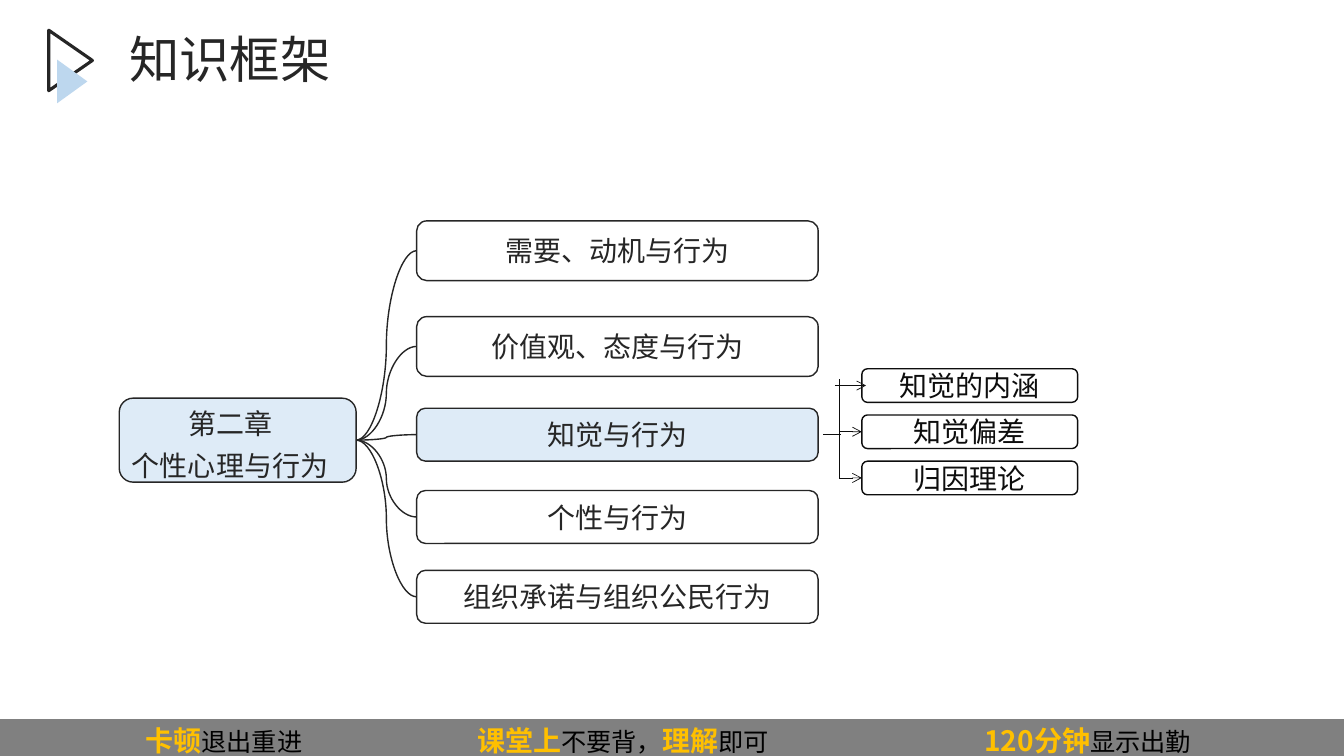
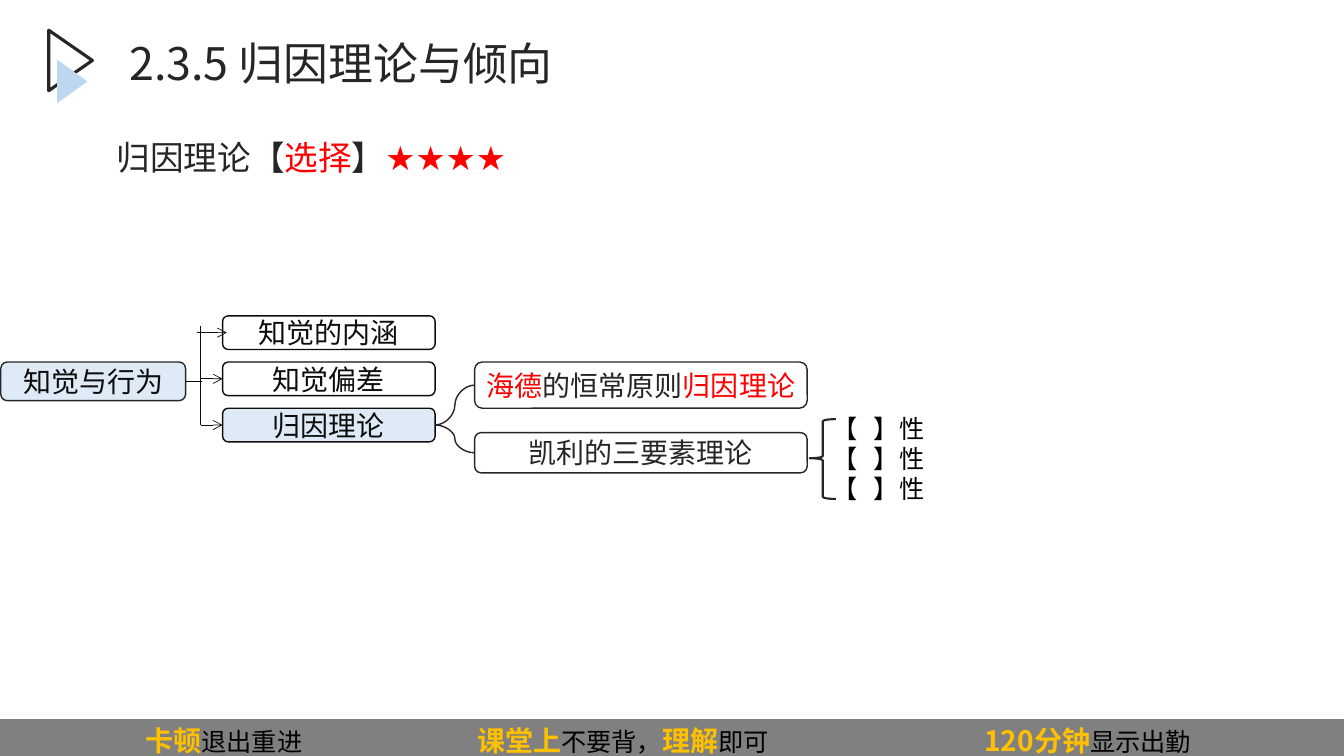
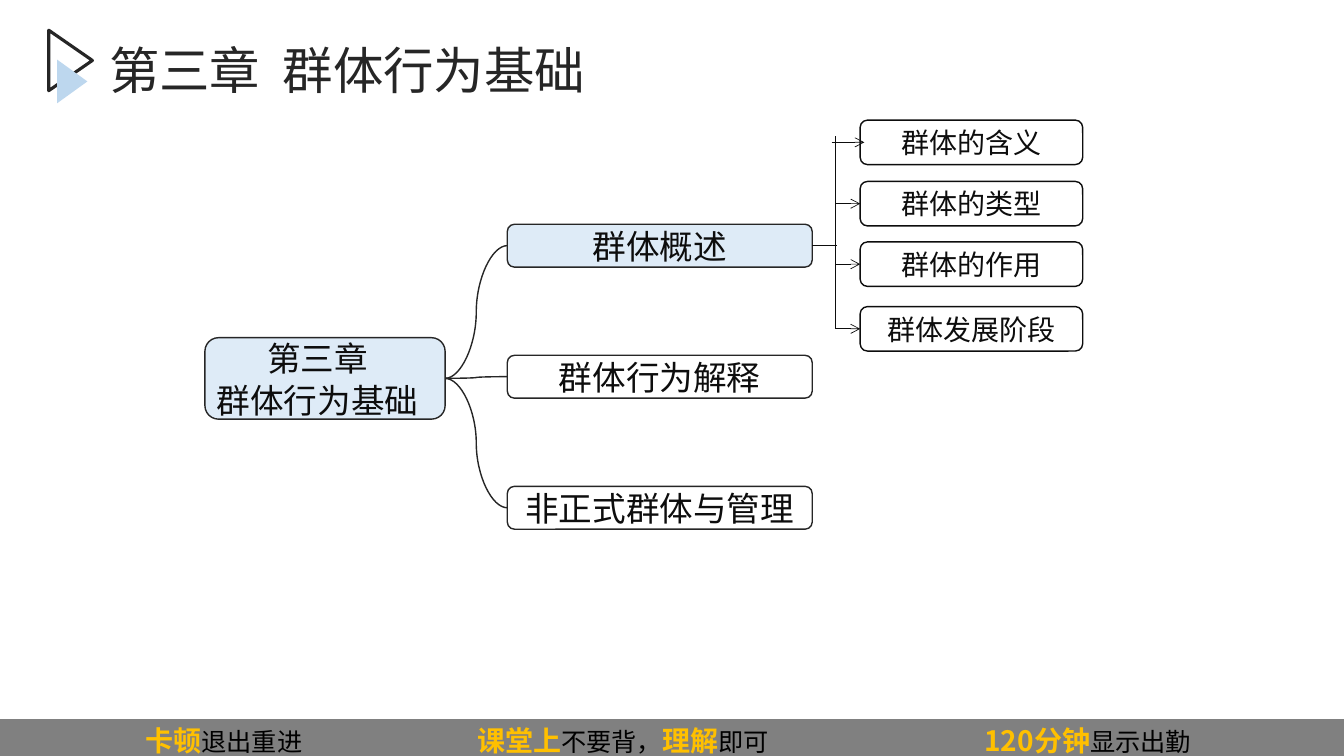
from dataclasses import dataclass
from typing import NamedTuple

from lxml import etree
from pptx import Presentation
from pptx import util as u
from pptx.dml.color import RGBColor
from pptx.enum import shapes, text
from pptx.oxml import ns

COLUMNS, ROWS = 160, 90
WIDTH, HEIGHT = u.Inches(13.33), u.Inches(7.5)
LEFT_SITE, RIGHT_SITE = 1, 3


@dataclass(frozen=True)
class Theme:
    ink: str = "262626"
    dark: str = "0D0D0D"
    black: str = "000000"
    red: str = "FF0000"
    gold: str = "FFC000"
    pale: str = "DEEBF7"
    sky: str = "BDD7EE"
    band: str = "808080"
    font: str = "Noto Sans CJK SC"
    body_font: str = "DejaVu Sans"
    title: int = 36
    subtitle: int = 32
    heading: int = 24
    label: int = 20
    small: int = 18


class Run(NamedTuple):
    text: str
    color: str = ""
    size: int = 0
    bold: bool = False
    tracking: int = 0


def column(value):
    return u.Emu(round(value * WIDTH / COLUMNS))


def row(value):
    return u.Emu(round(value * HEIGHT / ROWS))


def middle(shape):
    return (shape.top + shape.height / 2) * ROWS / HEIGHT


def left_edge(shape):
    return shape.left * COLUMNS / WIDTH


class Deck:
    def __init__(self, theme):
        self.theme = theme
        self.presentation = Presentation()
        self.presentation.slide_width = WIDTH
        self.presentation.slide_height = HEIGHT
        self.slide = None

    def new_slide(self):
        self.slide = self.presentation.slides.add_slide(self.presentation.slide_layouts[6])
        theme = self.theme
        kind = shapes.MSO_SHAPE.ISOSCELES_TRIANGLE
        self.shape(kind, 4.8, 4.6, 7.2, 5.2, line=theme.ink, weight=2.25).rotation = 90
        self.shape(kind, 6, 7.9, 5.2, 3.6, fill=theme.sky).rotation = 90
        self.footer()

    def shape(self, kind, left, top, width, height, fill=None, line=None, weight=1):
        shape = self.slide.shapes.add_shape(kind, column(left), row(top), column(width), row(height))
        shape.shadow.inherit = False
        if fill:
            shape.fill.solid()
            shape.fill.fore_color.rgb = RGBColor.from_string(fill)
        else:
            shape.fill.background()
        if line:
            shape.line.color.rgb = RGBColor.from_string(line)
            shape.line.width = u.Pt(weight)
        else:
            shape.line.fill.background()
        return shape

    def set_lines(self, frame, lines, size, color, font=None, align=text.PP_ALIGN.LEFT, leading=None):
        font = font or self.theme.font
        frame.word_wrap = True
        for index, runs in enumerate(lines):
            paragraph = frame.paragraphs[0] if index == 0 else frame.add_paragraph()
            paragraph.alignment = align
            if leading:
                paragraph.line_spacing = leading
            for part in [Run(runs)] if isinstance(runs, str) else runs:
                run = paragraph.add_run()
                run.text = part.text
                run.font.size = u.Pt(part.size or size)
                run.font.bold = part.bold
                run.font.color.rgb = RGBColor.from_string(part.color or color)
                run.font.name = font
                properties = run._r.get_or_add_rPr()
                etree.SubElement(properties, ns.qn("a:ea")).set("typeface", font)
                if part.tracking:
                    properties.set("spc", str(part.tracking * 100))

    def footer(self):
        theme = self.theme
        band = self.shape(shapes.MSO_SHAPE.RECTANGLE, 0, 85.6, COLUMNS, 4.4, fill=theme.band)
        frame = band.text_frame
        frame.vertical_anchor = text.MSO_ANCHOR.MIDDLE
        start = 17.3
        frame.margin_left = column(start)
        frame.margin_right = frame.margin_bottom = 0
        tabs = etree.SubElement(frame.paragraphs[0]._p.get_or_add_pPr(), ns.qn("a:tabLst"))
        for stop in (56.8, 117.2):
            tab = etree.SubElement(tabs, ns.qn("a:tab"))
            tab.set("pos", str(column(stop - start)))
            tab.set("algn", "l")

        def strong(words):
            return Run(words, theme.gold, theme.label, True)

        self.set_lines(frame, [[
            strong("卡顿"), Run("退出重进\t"),
            strong("课堂上"), Run("不要背，"), strong("理解"), Run("即可\t"),
            strong("120分钟"), Run("显示出勤"),
        ]], theme.small, theme.black)

    def text_box(self, left, top, width, height, lines, size, color, **style):
        box = self.slide.shapes.add_textbox(column(left), row(top), column(width), row(height))
        self.set_lines(box.text_frame, lines, size, color, **style)

    def title(self, words, size, left=14.2, top=3.6, width=91.6, leading=None):
        self.text_box(left, top, width, 10.7, [words], size, self.theme.ink, leading=leading)

    def box(self, left, top, width, height, lines, size, color, fill=None, line=None, leading=None):
        shape = self.shape(shapes.MSO_SHAPE.ROUNDED_RECTANGLE, left, top, width, height,
                           fill, line or self.theme.ink)
        frame = shape.text_frame
        frame.margin_left = frame.margin_right = frame.margin_top = frame.margin_bottom = 0
        frame.vertical_anchor = text.MSO_ANCHOR.MIDDLE
        self.set_lines(frame, lines, size, color, align=text.PP_ALIGN.CENTER, leading=leading)
        return shape

    def chapter(self, left, top, width, height, lines, size, color):
        shape = self.box(left, top, width, height, lines, size, color,
                         fill=self.theme.pale, leading=u.Pt(30))
        first = shape.text_frame.paragraphs[0]
        first._p.get_or_add_pPr().set("marR", str(column(1.8)))
        return shape

    def sections(self, left, width, height, tops, labels, chosen=None):
        theme = self.theme
        return [self.box(left, top, width, height, [label], theme.label, theme.dark,
                         theme.pale if label == chosen else None, theme.dark)
                for top, label in zip(tops, labels)]

    def connector(self, kind, x1, y1, x2, y2, color, weight, arrow=False):
        line = self.slide.shapes.add_connector(kind, column(x1), row(y1), column(x2), row(y2))
        line.line.color.rgb = RGBColor.from_string(color)
        line.line.width = u.Pt(weight)
        properties = line._element.spPr
        if arrow:
            etree.SubElement(properties.find(ns.qn("a:ln")), ns.qn("a:tailEnd")).set("type", "arrow")
        etree.SubElement(properties, ns.qn("a:effectLst"))
        return line

    def curves(self, parent, children):
        for child in children:
            curve = self.connector(shapes.MSO_CONNECTOR.CURVE, 0, 0, 1, 1, self.theme.ink, 1)
            curve.begin_connect(parent, RIGHT_SITE)
            curve.end_connect(child, LEFT_SITE)

    def arrows(self, parent, children, stub, trunk):
        def straight(x1, y1, x2, y2, arrow=False):
            self.connector(shapes.MSO_CONNECTOR.STRAIGHT, x1, y1, x2, y2, self.theme.dark, 0.5, arrow)

        straight(stub, middle(parent), trunk + 0.2, middle(parent))
        straight(trunk, middle(children[-1]), trunk, middle(children[0]) - 0.8)
        for index, child in enumerate(children):
            reach = 0.5 if index == 0 else 0
            straight(trunk - reach, middle(child), left_edge(child) + reach, middle(child), True)


PERCEPTION = ["知觉的内涵", "知觉偏差", "归因理论"]


def framework(deck):
    theme = deck.theme
    deck.new_slide()
    deck.title("知识框架", theme.title, leading=0.9)
    chapter = deck.chapter(14.2, 47.4, 28.2, 10, ["第二章", "个性心理与行为"], theme.label, theme.ink)
    rows = [
        (26.3, 7.1, "需要、动机与行为"),
        (37.7, 7.1, "价值观、态度与行为"),
        (48.6, 6.3, "知觉与行为"),
        (58.4, 6.3, "个性与行为"),
        (67.9, 6.3, "组织承诺与组织公民行为"),
    ]
    topics = [deck.box(49.6, top, 47.8, height, [label], theme.label, theme.ink,
                       theme.pale if label == "知觉与行为" else None)
              for top, height, label in rows]
    deck.curves(chapter, topics)
    tops = [43.9 + 5.5 * index for index in range(3)]
    deck.arrows(topics[2], deck.sections(102.6, 25.7, 4, tops, PERCEPTION), 98, 99.9)


def attribution(deck):
    theme = deck.theme
    deck.new_slide()
    deck.title("2.3.5 归因理论与倾向", theme.subtitle)
    deck.text_box(12.7, 16.2, 138, 68.4, [[
        Run("归因理论【"), Run("选择", theme.red), Run("】"), Run("★★★★", theme.red),
    ]], theme.heading, theme.ink, font=theme.body_font, leading=0.9)
    topic = deck.box(0.1, 43.1, 22, 4.6, ["知觉与行为"], theme.label, theme.dark, theme.pale)
    tops = [37.6 + 5.5 * index for index in range(3)]
    sections = deck.sections(26.5, 25.3, 4, tops, PERCEPTION, chosen="归因理论")
    deck.arrows(topic, sections, 22.1, 23.9)
    constancy = [Run("海德", theme.red), Run("的恒常原则"), Run("归因理论", theme.red)]
    theories = [deck.box(56.5, top, 39.6, height, [label], theme.label, theme.ink)
                for top, height, label in ((43.1, 5.5, constancy), (51.5, 4.8, "凯利的三要素理论"))]
    deck.curves(sections[-1], theories)
    blank = [Run("【"), Run(" ", tracking=6), Run("】性")]
    deck.text_box(97.9, 48.6, 15.1, 12.1, [blank] * 3, theme.small, theme.black, font=theme.body_font)
    brace = deck.shape(shapes.MSO_SHAPE.LEFT_BRACE, 96.4, 49.9, 3.1, 9.5, line=theme.ink, weight=1.5)
    brace.adjustments[0] = 0.08
    brace.adjustments[1] = 0.49


def groups(deck):
    theme = deck.theme
    deck.new_slide()
    deck.title([Run("第三章"), Run(" ", tracking=8), Run("群体行为基础")], theme.title,
               left=11.8, top=4.9, width=144, leading=0.9)
    chapter = deck.chapter(24.4, 40.2, 28.6, 9.7, ["第三章", "群体行为基础"], theme.heading, theme.dark)
    labels = ["群体概述", "群体行为解释", "非正式群体与管理"]
    topics = [deck.box(60.4, 26.7 + 15.6 * index, 36.3, 5.1, [label], theme.heading, theme.dark,
                       theme.pale if index == 0 else None)
              for index, label in enumerate(labels)]
    deck.curves(chapter, topics)
    sections = deck.sections(102.4, 26.5, 5.3, (14.3, 21.6, 28.8, 36.5),
                             ["群体的含义", "群体的类型", "群体的作用", "群体发展阶段"])
    deck.arrows(topics[0], sections, 96.7, 99.5)


def main():
    deck = Deck(Theme())
    for build in (framework, attribution, groups):
        build(deck)
    deck.presentation.save("out.pptx")


if __name__ == "__main__":
    main()
